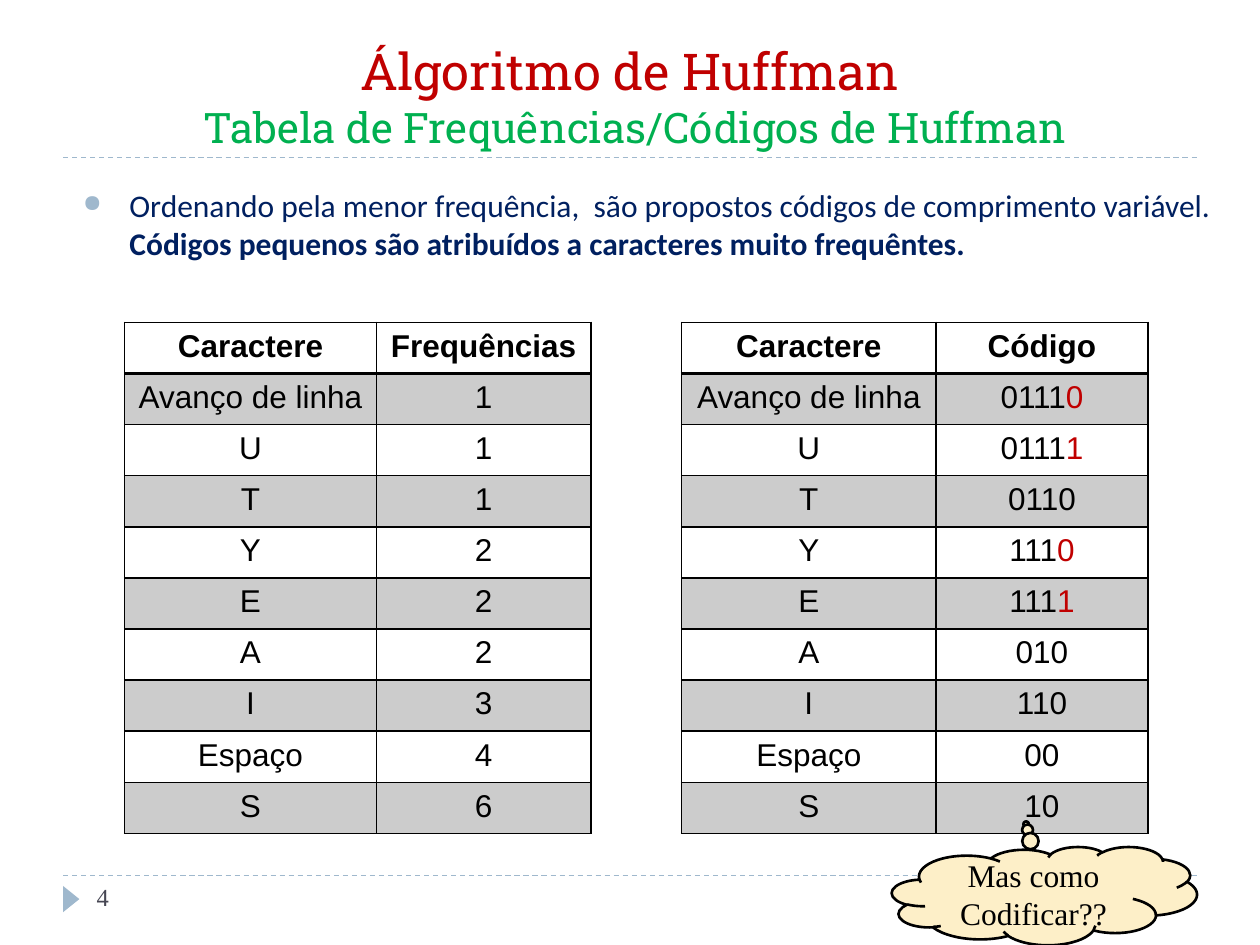
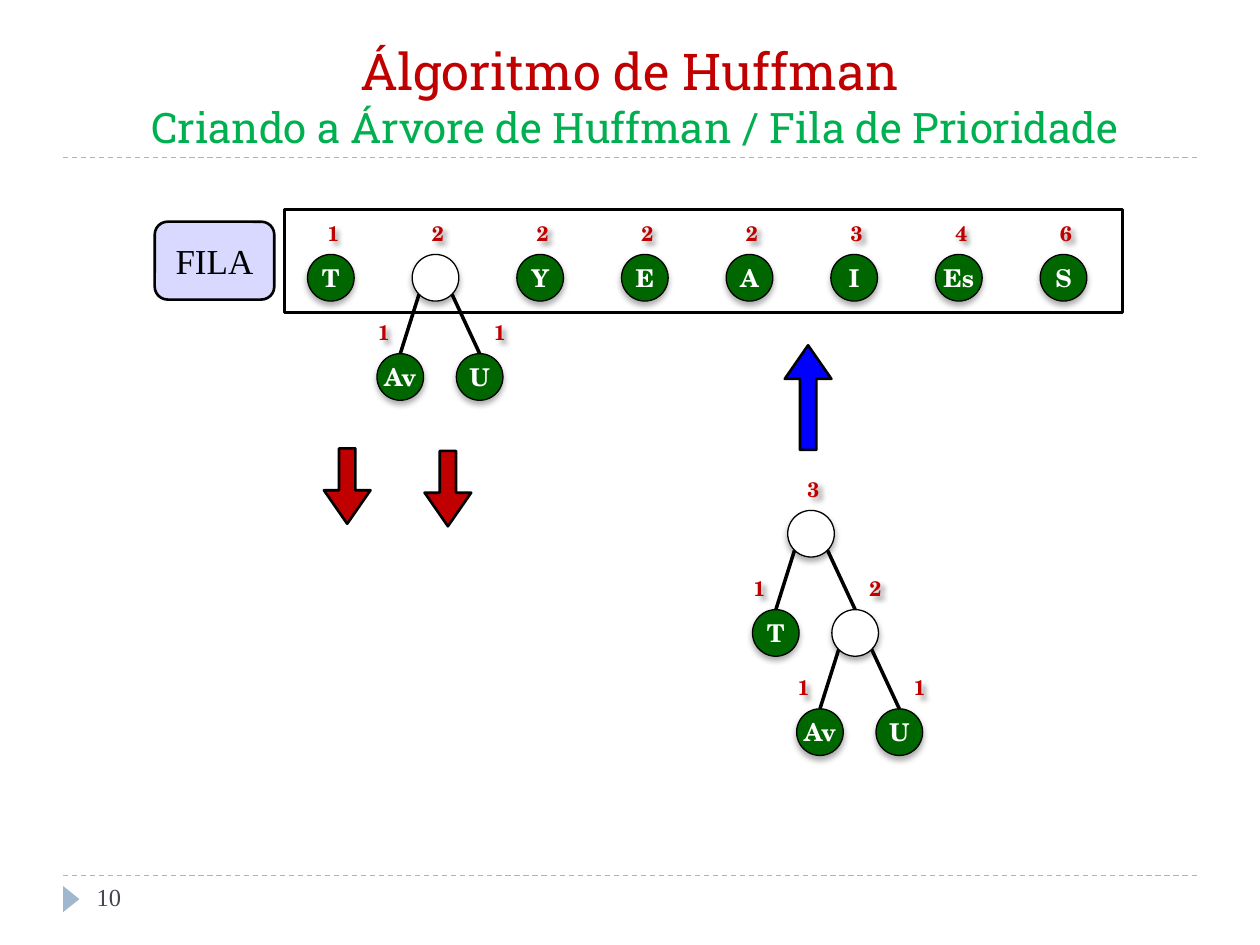
from dataclasses import dataclass
from math import sqrt
from typing import Any, NamedTuple, Optional

from lxml.etree import SubElement
from pptx import Presentation
from pptx.dml.color import RGBColor
from pptx.enum.dml import MSO_LINE
from pptx.enum.shapes import MSO_CONNECTOR, MSO_SHAPE
from pptx.enum.text import MSO_ANCHOR, PP_ALIGN
from pptx.oxml import parse_xml
from pptx.oxml.ns import nsdecls, qn
from pptx.util import Cm, Pt

BLACK = RGBColor(0x00, 0x00, 0x00)
WHITE = RGBColor(0xFF, 0xFF, 0xFF)
RED = RGBColor(0xC0, 0x00, 0x00)
GREEN = RGBColor(0x00, 0xB0, 0x50)
NODE_GREEN = RGBColor(0x00, 0x66, 0x00)
BLUE = RGBColor(0x00, 0x00, 0xFF)
NAVY = RGBColor(0x00, 0x20, 0x60)
STEEL = RGBColor(0x9F, 0xB8, 0xCD)
SLATE = RGBColor(0x46, 0x46, 0x53)
CREAM = RGBColor(0xFD, 0xEF, 0xC8)

NODE_SIZE = 0.94
LEVEL_HEIGHT = 2.0
QUEUE_PITCH = 2.11
ROW_HEIGHT = 1.03


class Box(NamedTuple):
    """A place on the slide, in centimetres."""
    left: float
    top: float
    width: float
    height: float

    def lengths(self) -> list[Cm]:
        """Return the four lengths for python-pptx."""
        return [Cm(value) for value in self]


class Style(NamedTuple):
    """A font with its colour."""
    name: str
    size: float
    color: RGBColor
    bold: bool = False


class Run(NamedTuple):
    """A piece of text in one style."""
    text: str
    style: Style


class Shadow(NamedTuple):
    """An outer shadow: blur and distance in points, angle in degrees."""
    blur: float
    distance: float
    angle: int
    opacity: int


@dataclass(frozen=True)
class Node:
    """A node of the Huffman tree."""
    weight: int
    letter: str = ""
    left: Optional["Node"] = None
    right: Optional["Node"] = None


@dataclass(frozen=True)
class Grid:
    """A two-column table; a bar in a value starts its red part."""
    left: float
    widths: tuple[float, float]
    heading: str
    values: tuple[str, ...]


TITLE = Style("Roboto Slab", 29, RED)
SUBTITLE = Style("Roboto Slab", 24, GREEN)
NUMBER = Style("Times New Roman", 14, SLATE)
BODY = Style("Calibri", 18, NAVY)
CELL = Style("Arial", 18, BLACK)
CLOUD = Style("Times New Roman", 18, BLACK)
QUEUE_LABEL = Style("Times New Roman", 20, BLACK)
LETTER = Style("TeX Gyre Schola", 14, WHITE, True)
WEIGHT = Style("TeX Gyre Schola", 12, RED, True)

NODE_SHADOW = Shadow(3.5, 2.2, 90, 32)
WEIGHT_SHADOW = Shadow(3, 3, 45, 40)

CHARACTERS = ("Avanço de linha", "U", "T", "Y", "E", "A", "I", "Espaço", "S")
GRIDS = (
    Grid(2.51, (5.08, 4.32), "Frequências", ("1", "1", "1", "2", "2", "2", "3", "4", "6")),
    Grid(13.74, (5.13, 4.27), "Código",
         ("0111|0", "0111|1", "0110", "111|0", "111|1", "010", "110", "00", "10")),
)

PAIR = Node(2, left=Node(1, "Av"), right=Node(1, "U"))
QUEUE = (Node(1, "T"), PAIR, Node(2, "Y"), Node(2, "E"), Node(2, "A"),
         Node(3, "I"), Node(4, "Es"), Node(6, "S"))
MERGED = Node(3, left=Node(1, "T"), right=PAIR)


def apply_format(target: Any, values: dict[str, Any]) -> None:
    """Set every named attribute on the target."""
    for name, value in values.items():
        setattr(target, name, value)


def add_run(paragraph: Any, run: Run) -> None:
    """Append a styled run to the paragraph."""
    piece = paragraph.add_run()
    piece.text = run.text
    style = run.style
    apply_format(piece.font, {"name": style.name, "size": Pt(style.size), "bold": style.bold})
    piece.font.color.rgb = style.color


def write(shape: Any, runs: list[Run], align: Any = PP_ALIGN.CENTER,
          anchor: Any = MSO_ANCHOR.MIDDLE) -> Any:
    """Write the runs as the only paragraph of a shape and return it."""
    apply_format(shape.text_frame, {"word_wrap": True, "vertical_anchor": anchor})
    paragraph = shape.text_frame.paragraphs[0]
    paragraph.alignment = align
    for run in runs:
        add_run(paragraph, run)
    return paragraph


def add_text(slide: Any, box: Box, runs: list[Run], align: Any = PP_ALIGN.LEFT,
             anchor: Any = MSO_ANCHOR.TOP) -> Any:
    """Add a text box with one paragraph and return the box."""
    shape = slide.shapes.add_textbox(*box.lengths())
    write(shape, runs, align, anchor)
    return shape


def set_opacity(properties: Any, percent: int) -> None:
    """Make the first colour of the properties partly transparent."""
    color = next(properties.iter(qn("a:srgbClr")))
    SubElement(color, qn("a:alpha"), val=str(percent * 1000))


def add_shape(slide: Any, kind: Any, box: Box, fill: Optional[RGBColor] = None,
              line_width: float = 1.5, adjustments: tuple[float, ...] = (),
              rotation: float = 0) -> Any:
    """Add a preset shape with a black outline, or none at zero width."""
    shape = slide.shapes.add_shape(kind, *box.lengths())
    shape.shadow.inherit = False
    shape.rotation = rotation
    for index, value in enumerate(adjustments):
        shape.adjustments[index] = value
    if fill is None:
        shape.fill.background()
    else:
        shape.fill.solid()
        shape.fill.fore_color.rgb = fill
    if line_width:
        shape.line.color.rgb = BLACK
        shape.line.width = Pt(line_width)
    else:
        shape.line.fill.background()
    return shape


def add_line(slide: Any, start: tuple[float, float], end: tuple[float, float],
             color: RGBColor, width: float, dash: Any = None) -> None:
    """Draw a straight line between two points in centimetres."""
    connector = slide.shapes.add_connector(
        MSO_CONNECTOR.STRAIGHT, *(Cm(value) for value in (*start, *end)))
    connector.line.color.rgb = color
    apply_format(connector.line, {"width": Pt(width), "dash_style": dash})
    SubElement(connector._element.spPr, qn("a:effectLst"))


def add_shadow(shape: Any, shadow: Shadow) -> None:
    """Give the shape an outer shadow."""
    shape.shadow.inherit = False
    effects = shape._element.spPr.find(qn("a:effectLst"))
    effects.append(parse_xml(
        f'<a:outerShdw {nsdecls("a")} blurRad="{Pt(shadow.blur)}" dist="{Pt(shadow.distance)}" '
        f'dir="{shadow.angle * 60000}" rotWithShape="0"><a:srgbClr val="{BLACK}">'
        f'<a:alpha val="{shadow.opacity * 1000}"/></a:srgbClr></a:outerShdw>'))


def add_framed_slide(presentation: Any, subtitle: str, number: int) -> Any:
    """Add a slide with its title, rules, marker and number."""
    slide = presentation.slides.add_slide(presentation.slide_layouts[6])
    for height in (17.65, 3.18):
        add_line(slide, (1.27, height), (24.13, height), STEEL, 0.75, MSO_LINE.DASH)
    add_shape(slide, MSO_SHAPE.ISOSCELES_TRIANGLE, Box(1.17, 17.96, 0.53, 0.33), STEEL, 0,
              rotation=90)
    title = add_text(slide, Box(1.27, 0.64, 22.86, 2.54), [Run("Álgoritmo de Huffman", TITLE)],
                     PP_ALIGN.CENTER, MSO_ANCHOR.BOTTOM)
    paragraph = title.text_frame.paragraphs[0]
    paragraph.add_line_break()
    add_run(paragraph, Run(f" {subtitle}", SUBTITLE))
    add_text(slide, Box(1.7, 17.65, 5.51, 1.02), [Run(str(number), NUMBER)])
    return slide


def add_bullet(paragraph: Any) -> None:
    """Give the paragraph a hanging round bullet."""
    properties = paragraph._p.get_or_add_pPr()
    apply_format_values = {"marL": str(Cm(0.94)), "indent": str(Cm(-0.94))}
    for name, value in apply_format_values.items():
        properties.set(name, value)
    color = SubElement(properties, qn("a:buClr"))
    SubElement(color, qn("a:srgbClr"), val=str(STEEL))
    SubElement(properties, qn("a:buSzPct"), val="76000")
    SubElement(properties, qn("a:buChar"), char="●")


def set_borders(cell: Any, top: float, bottom: float) -> None:
    """Draw black borders around a table cell."""
    properties = cell._tc.get_or_add_tcPr()
    widths = {"lnL": 1, "lnR": 1, "lnT": top, "lnB": bottom}
    for index, (side, width) in enumerate(widths.items()):
        properties.insert(index, parse_xml(
            f'<a:{side} {nsdecls("a")} w="{Pt(width)}"><a:solidFill>'
            f'<a:srgbClr val="{BLACK}"/></a:solidFill></a:{side}>'))


def add_grid(slide: Any, grid: Grid) -> None:
    """Add a table of characters and their values."""
    rows = [("Caractere", grid.heading), *zip(CHARACTERS, grid.values)]
    box = Box(grid.left, 6.5, sum(grid.widths), ROW_HEIGHT * len(rows))
    table = slide.shapes.add_table(len(rows), 2, *box.lengths()).table
    apply_format(table, {"first_row": False, "horz_banding": False})
    for column, width in zip(table.columns, grid.widths):
        column.width = Cm(width)
    for row_index, texts in enumerate(rows):
        table.rows[row_index].height = Cm(ROW_HEIGHT)
        style = CELL._replace(bold=row_index == 0)
        for column_index, text in enumerate(texts):
            cell = table.cell(row_index, column_index)
            prefix, _, suffix = text.partition("|")
            runs = [Run(prefix, style)]
            if suffix:
                runs.append(Run(suffix, style._replace(color=RED)))
            write(cell, runs, anchor=MSO_ANCHOR.TOP)
            if row_index % 2:
                cell.fill.solid()
                cell.fill.fore_color.rgb = BLACK
                set_opacity(cell._tc.tcPr, 20)
            else:
                cell.fill.background()
            set_borders(cell, 2 if row_index == 1 else 1, 2 if row_index == 0 else 1)


def draw_tree(slide: Any, node: Node, left: float, top: float, label_shift: float = 0) -> None:
    """Draw a node with its weight, then its branches."""
    middle = left + NODE_SIZE / 2
    reach = NODE_SIZE / 2 / sqrt(2)
    branches = ((node.left, -1, -0.71, -0.38), (node.right, 1, 0.89, 0.36))
    for child, side, offset, shift in branches:
        if child:
            add_line(slide, (middle + side * reach, top + NODE_SIZE / 2 + reach),
                     (middle + offset, top + LEVEL_HEIGHT), BLACK, 2)
            draw_tree(slide, child, left + offset, top + LEVEL_HEIGHT, shift)
    circle = add_shape(slide, MSO_SHAPE.OVAL, Box(left, top, NODE_SIZE, NODE_SIZE),
                       NODE_GREEN if node.letter else WHITE, 0.75)
    add_shadow(circle, NODE_SHADOW)
    if node.letter:
        margins = ("margin_left", "margin_top", "margin_right", "margin_bottom")
        apply_format(circle.text_frame, dict.fromkeys(margins, 0))
        write(circle, [Run(node.letter, LETTER)])
    weight = add_text(slide, Box(left + label_shift, top - 0.81, 1.04, 0.76),
                      [Run(str(node.weight), WEIGHT)], PP_ALIGN.CENTER, MSO_ANCHOR.MIDDLE)
    add_shadow(weight, WEIGHT_SHADOW)


def build_code_slide(presentation: Any) -> None:
    """Build the slide of frequencies and codes."""
    slide = add_framed_slide(presentation, "Tabela de Frequências/Códigos de Huffman", 4)
    body = add_text(slide, Box(1.42, 3.63, 23.42, 1.91), [
        Run("Ordenando pela menor frequência,  são propostos códigos de comprimento variável. ",
            BODY),
        Run("Códigos pequenos são atribuídos a caracteres muito frequêntes.",
            BODY._replace(bold=True))])
    add_bullet(body.text_frame.paragraphs[0])
    for grid in GRIDS:
        add_grid(slide, grid)
    cloud = add_shape(slide, MSO_SHAPE.CLOUD_CALLOUT, Box(17.98, 17.07, 6.15, 1.98), CREAM,
                      adjustments=(-0.06, -0.73))
    write(cloud, [Run("Mas como Codificar??", CLOUD)])


def build_queue_slide(presentation: Any) -> None:
    """Build the slide of the priority queue and its trees."""
    slide = add_framed_slide(presentation, "Criando a Árvore de Huffman / Fila de Prioridade", 10)
    add_shape(slide, MSO_SHAPE.RECTANGLE, Box(5.74, 4.22, 16.89, 2.08))
    for position, node in enumerate(QUEUE):
        draw_tree(slide, node, 6.2 + position * QUEUE_PITCH, 5.13)
    draw_tree(slide, MERGED, 15.88, 10.29)
    arrows = ((Box(6.53, 9.04, 0.94, 1.52), RED, 0), (Box(8.56, 9.09, 0.94, 1.52), RED, 0),
              (Box(15.82, 6.96, 0.94, 2.11), BLUE, 180))
    for box, color, rotation in arrows:
        add_shape(slide, MSO_SHAPE.DOWN_ARROW, box, color, adjustments=(0.35, 0.72),
                  rotation=rotation)
    label = add_shape(slide, MSO_SHAPE.FLOWCHART_ALTERNATE_PROCESS,
                      Box(3.12, 4.47, 2.41, 1.57), BLUE)
    set_opacity(label._element.spPr, 15)
    write(label, [Run("FILA", QUEUE_LABEL)])


def main() -> None:
    """Build and save the presentation."""
    presentation = Presentation()
    apply_format(presentation, {"slide_width": Cm(25.4), "slide_height": Cm(19.05)})
    build_code_slide(presentation)
    build_queue_slide(presentation)
    presentation.save("out.pptx")


if __name__ == "__main__":
    main()
